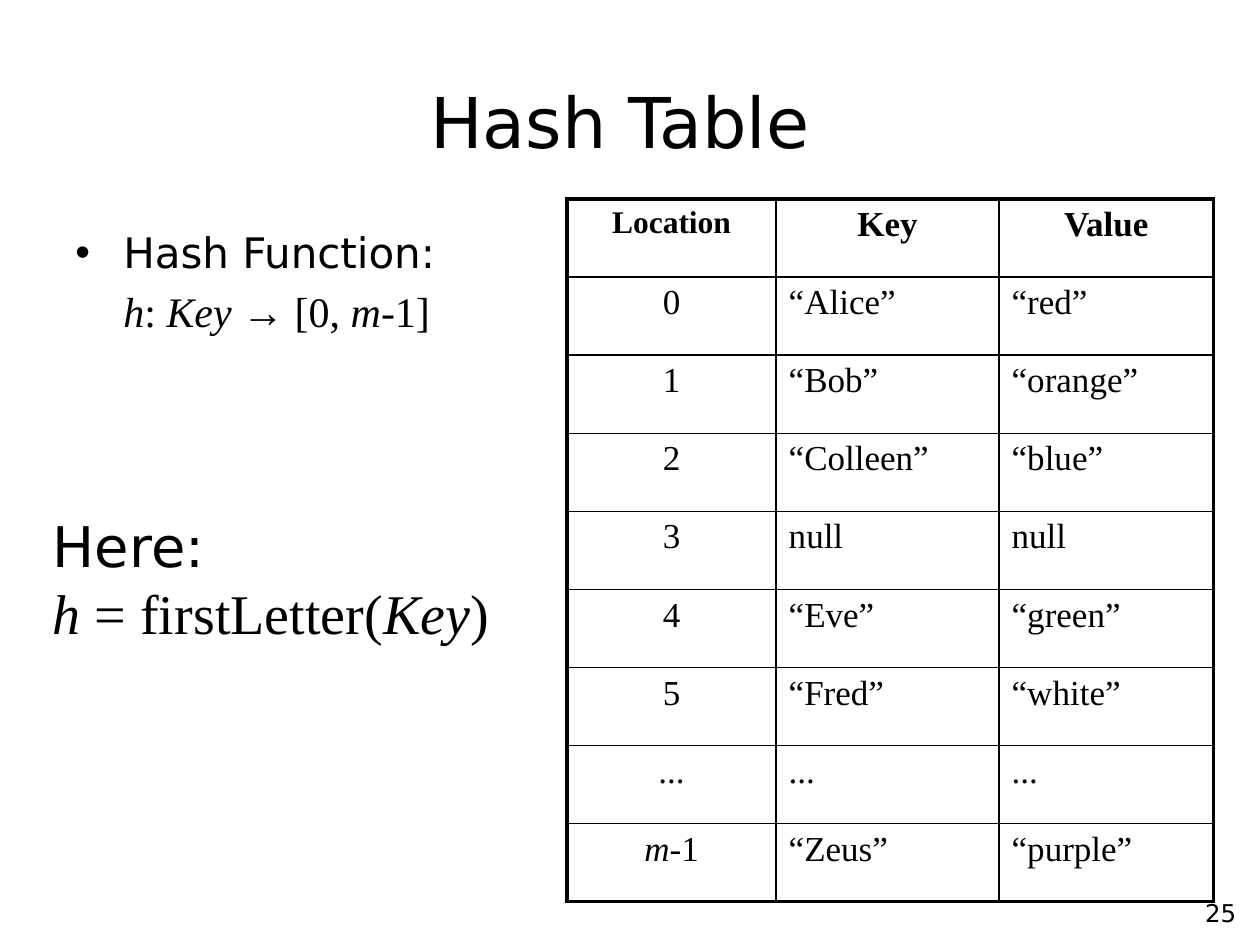
from dataclasses import dataclass

from lxml.etree import SubElement
from pptx import Presentation
from pptx.dml.color import RGBColor
from pptx.enum.text import MSO_ANCHOR as Anchor, PP_ALIGN as Align
from pptx.oxml.ns import qn
from pptx.util import Inches, Pt

SANS = "DejaVu Sans"
SERIF = "Times New Roman"
INK = "000000"


@dataclass
class Span:
    text: str
    italic: bool = False


@dataclass
class Line:
    spans: list[Span]
    size: float
    font: str = SANS
    align: Align = Align.LEFT
    bold: bool = False
    bullet: str = ""
    margin: float = 0
    space_percent: int = 0


@dataclass
class Block:
    left: float
    top: float
    width: float
    height: float
    lines: list[Line]
    anchor: Anchor = Anchor.TOP


def color(value: str) -> RGBColor:
    return RGBColor.from_string(value)


def write_line(paragraph, line: Line) -> None:
    paragraph.alignment = line.align
    for span in line.spans:
        run = paragraph.add_run()
        run.text = span.text
        run.font.size = Pt(line.size)
        run.font.name = line.font
        run.font.bold = line.bold
        run.font.italic = span.italic
        run.font.color.rgb = color(INK)
    properties = paragraph._p.get_or_add_pPr()
    if line.margin:
        properties.set("marL", str(Inches(line.margin)))
        properties.set("indent", str(Inches(-line.margin if line.bullet else 0)))
    if line.space_percent:
        before = SubElement(properties, qn("a:spcBef"))
        SubElement(before, qn("a:spcPct"), val=str(line.space_percent * 1000))
    if line.bullet:
        SubElement(properties, qn("a:buFont"), typeface="Arial")
        SubElement(properties, qn("a:buChar"), char=line.bullet)


def draw_block(slide, block: Block) -> None:
    frame = slide.shapes.add_textbox(
        Inches(block.left), Inches(block.top), Inches(block.width), Inches(block.height)
    ).text_frame
    frame.word_wrap = True
    frame.vertical_anchor = block.anchor
    for index, line in enumerate(block.lines):
        paragraph = frame.add_paragraph() if index else frame.paragraphs[0]
        write_line(paragraph, line)


def set_borders(cell, widths: dict[str, float]) -> None:
    properties = cell._tc.get_or_add_tcPr()
    for position, (side, width) in enumerate(widths.items()):
        border = SubElement(properties, qn(f"a:ln{side}"), w=str(Pt(width)))
        fill = SubElement(border, qn("a:solidFill"))
        SubElement(fill, qn("a:srgbClr"), val=INK)
        properties.insert(position, border)


def draw_table(slide, rows: list[tuple[str, str, str]]) -> None:
    column_widths = (1.66, 1.77, 1.7)
    row_height = 0.62
    outer, inner = 2.25, 1
    last_row, last_column = len(rows) - 1, len(column_widths) - 1
    table = slide.shapes.add_table(
        len(rows), len(column_widths), Inches(4.5), Inches(1.58),
        Inches(sum(column_widths)), Inches(row_height * len(rows)),
    ).table
    table.first_row = table.horz_banding = False
    for column, width in zip(table.columns, column_widths):
        column.width = Inches(width)
    for r, entries in enumerate(rows):
        table.rows[r].height = Inches(row_height)
        for c, entry in enumerate(entries):
            cell = table.cell(r, c)
            cell.fill.background()
            spans = [Span("m", True), Span("-1")] if entry == "m-1" else [Span(entry)]
            write_line(cell.text_frame.paragraphs[0], Line(
                spans,
                size=18 if entry == "Location" else 20,
                font=SERIF,
                align=Align.CENTER if r == 0 or c == 0 else Align.JUSTIFY,
                bold=r == 0,
            ))
            set_borders(cell, {
                "L": outer if c == 0 else inner,
                "R": outer if c == last_column else inner,
                "T": outer if r == 0 else inner,
                "B": outer if r == last_row else inner,
            })


PAGE_NUMBER = Block(7.83, 7.08, 2.08, 0.37, [Line([Span("25")], 14, align=Align.RIGHT)])
TITLE = Block(
    0.67, 0.33, 8.5, 1.25, [Line([Span("Hash Table")], 40, align=Align.CENTER)], Anchor.MIDDLE
)
DEFINITION = Block(0.5, 1.75, 4.42, 5.33, [
    Line([Span("Hash Function:")], 24, bullet="•", margin=0.38, space_percent=20),
    Line(
        [Span("h", True), Span(": "), Span("Key ", True), Span("→ [0, "),
         Span("m", True), Span("-1]")],
        24, SERIF, margin=0.38, space_percent=20,
    ),
])
EXAMPLE = Block(0.32, 4.01, 3.98, 1.17, [
    Line([Span("Here:")], 32),
    Line([Span("h", True), Span(" = firstLetter("), Span("Key", True), Span(")")], 32, SERIF),
])
ENTRIES = [
    ("Location", "Key", "Value"),
    ("0", "“Alice”", "“red”"),
    ("1", "“Bob”", "“orange”"),
    ("2", "“Colleen”", "“blue”"),
    ("3", "null", "null"),
    ("4", "“Eve”", "“green”"),
    ("5", "“Fred”", "“white”"),
    ("...", "...", "..."),
    ("m-1", "“Zeus”", "“purple”"),
]


def main() -> None:
    deck = Presentation()
    deck.slide_width, deck.slide_height = Inches(10), Inches(7.5)
    slide = deck.slides.add_slide(deck.slide_layouts[6])
    for block in (PAGE_NUMBER, TITLE, DEFINITION):
        draw_block(slide, block)
    draw_table(slide, ENTRIES)
    draw_block(slide, EXAMPLE)
    deck.save("out.pptx")


if __name__ == "__main__":
    main()
